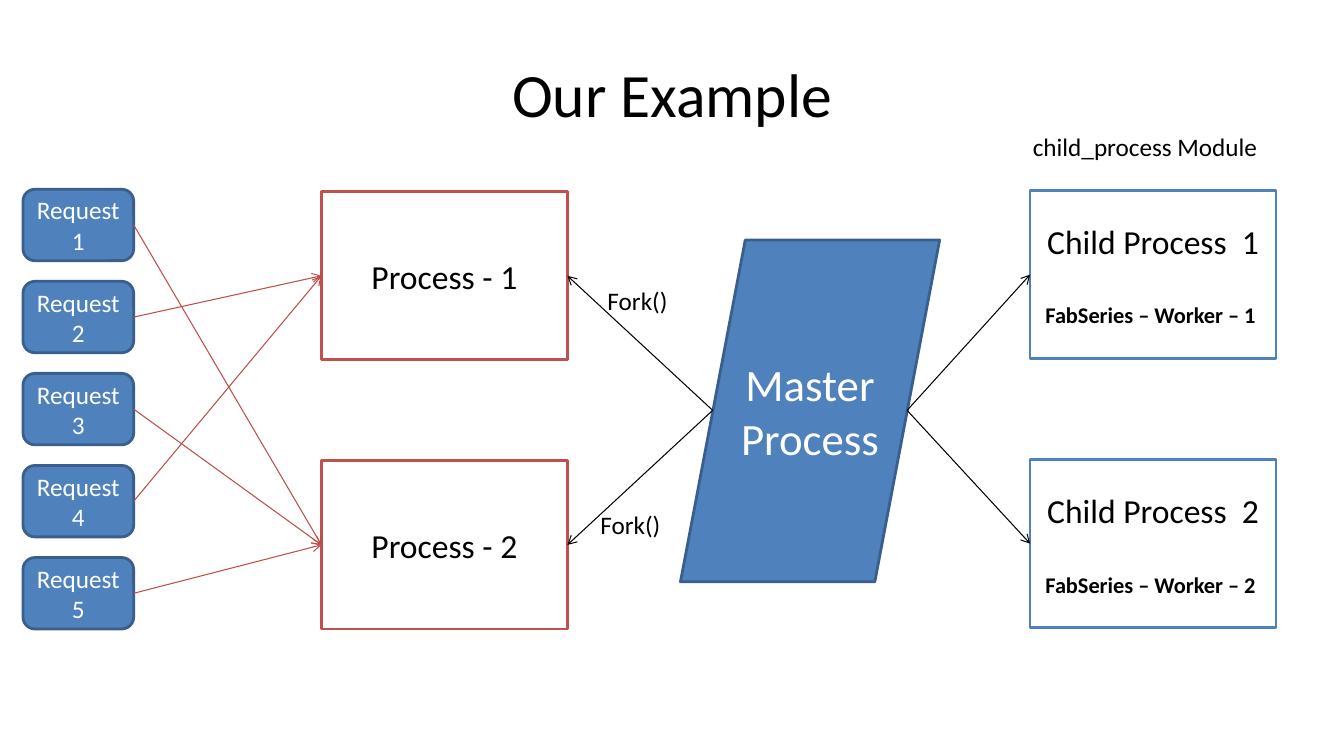
"""Build the slide that shows how a master forks processes to serve requests."""
from lxml import etree
from pptx import Presentation
from pptx import util as u
from pptx.dml.color import RGBColor
from pptx.enum import shapes, text
from pptx.oxml import ns

BLACK = RGBColor(0x00, 0x00, 0x00)
WHITE = RGBColor(0xFF, 0xFF, 0xFF)
BLUE = RGBColor(0x4F, 0x81, 0xBD)
NAVY = RGBColor(0x3A, 0x5F, 0x8C)
RED = RGBColor(0xC0, 0x50, 0x4D)
BRICK = RGBColor(0xBF, 0x4C, 0x48)
KIND = shapes.MSO_SHAPE
LEFT, RIGHT = 1, 3
CENTER = text.PP_ALIGN.CENTER


def write(para, words, size, color, align=CENTER, bold=False):
    """Put formatted words in a paragraph."""
    para.alignment = align
    run = para.add_run()
    run.text = words
    style = {"name": "Calibri", "size": u.Pt(size), "bold": bold}
    for key, value in style.items():
        setattr(run.font, key, value)
    run.font.color.rgb = color


def add_box(slide, kind, place, fill, edge, words, size, color):
    """Add a filled and outlined shape with centred text."""
    box = slide.shapes.add_shape(kind, *map(u.Cm, place))
    box.shadow.inherit = False
    box.fill.solid()
    box.fill.fore_color.rgb = fill
    box.line.color.rgb = edge
    box.line.width = u.Pt(2)
    box.text_frame.vertical_anchor = text.MSO_ANCHOR.MIDDLE
    write(box.text_frame.paragraphs[0], words, size, color)
    return box


def add_label(slide, place, words):
    """Add a plain label that does not wrap."""
    frame = slide.shapes.add_textbox(*map(u.Cm, place)).text_frame
    frame.word_wrap = False
    write(frame.paragraphs[0], words, 18, BLACK, text.PP_ALIGN.LEFT)


def add_arrow(slide, start, box, site, color):
    """Draw an arrow from a point or a shape's right side to a box."""
    point = start if isinstance(start, tuple) else (0, 0)
    line = slide.shapes.add_connector(
        shapes.MSO_CONNECTOR.STRAIGHT, *map(u.Cm, point + point))
    if start is not point:
        line.begin_connect(start, RIGHT)
    line.end_connect(box, site)
    line.line.color.rgb = color
    line.line.width = u.Pt(0.75)
    etree.SubElement(line.line._get_or_add_ln(), ns.qn("a:tailEnd"), type="arrow")
    etree.SubElement(line._element.spPr, ns.qn("a:effectLst"))


def add_title(slide, words):
    """Place and fill the title."""
    title = slide.shapes.title
    place = {"left": 1.7, "top": 0.76, "width": 30.48, "height": 3.18}
    for key, value in place.items():
        setattr(title, key, u.Cm(value))
    title.text_frame.vertical_anchor = text.MSO_ANCHOR.MIDDLE
    write(title.text_frame.paragraphs[0], words, 44, BLACK)


def main():
    """Build and save the slide."""
    deck = Presentation()
    deck.slide_width, deck.slide_height = u.Cm(33.87), u.Cm(19.05)
    slide = deck.slides.add_slide(deck.slide_layouts[5])
    add_title(slide, "Our Example")

    tasks, workers = [], []
    for num in (1, 2):
        down = (num - 1) * 6.78
        tasks.append(add_box(
            slide, KIND.RECTANGLE, (8.1, 4.83 + down, 6.2, 4.24),
            WHITE, RED, f"Process - {num}", 24, BLACK))
        child = add_box(
            slide, KIND.RECTANGLE, (25.96, 4.8 + down, 6.2, 4.24),
            WHITE, BLUE, f"Child Process  {num}", 24, BLACK)
        para = child.text_frame.add_paragraph()
        para.space_before = u.Pt(29)
        write(para, f"FabSeries – Worker – {num} ", 16, BLACK, bold=True)
        workers.append(child)

    add_box(slide, KIND.PARALLELOGRAM, (17.15, 6.05, 6.53, 8.61),
            BLUE, NAVY, "Master Process", 32, WHITE)
    for task, child in zip(tasks, workers):
        add_arrow(slide, (17.96, 10.34), task, RIGHT, BLACK)
        add_arrow(slide, (22.86, 10.34), child, LEFT, BLACK)

    for step, goal in enumerate((2, 1, 2, 1, 2)):
        ask = add_box(
            slide, KIND.ROUNDED_RECTANGLE, (0.58, 4.77 + step * 2.32, 2.79, 1.8),
            BLUE, NAVY, f"Request{step + 1}", 18, WHITE)
        add_arrow(slide, ask, tasks[goal - 1], LEFT, BRICK)

    add_label(slide, (15.06, 7.06, 2.03, 1.02), "Fork()")
    add_label(slide, (14.88, 12.7, 2.03, 1.02), "Fork()")
    add_label(slide, (25.78, 3.18, 6.22, 1.02), "child_process Module")
    deck.save("out.pptx")


main()
